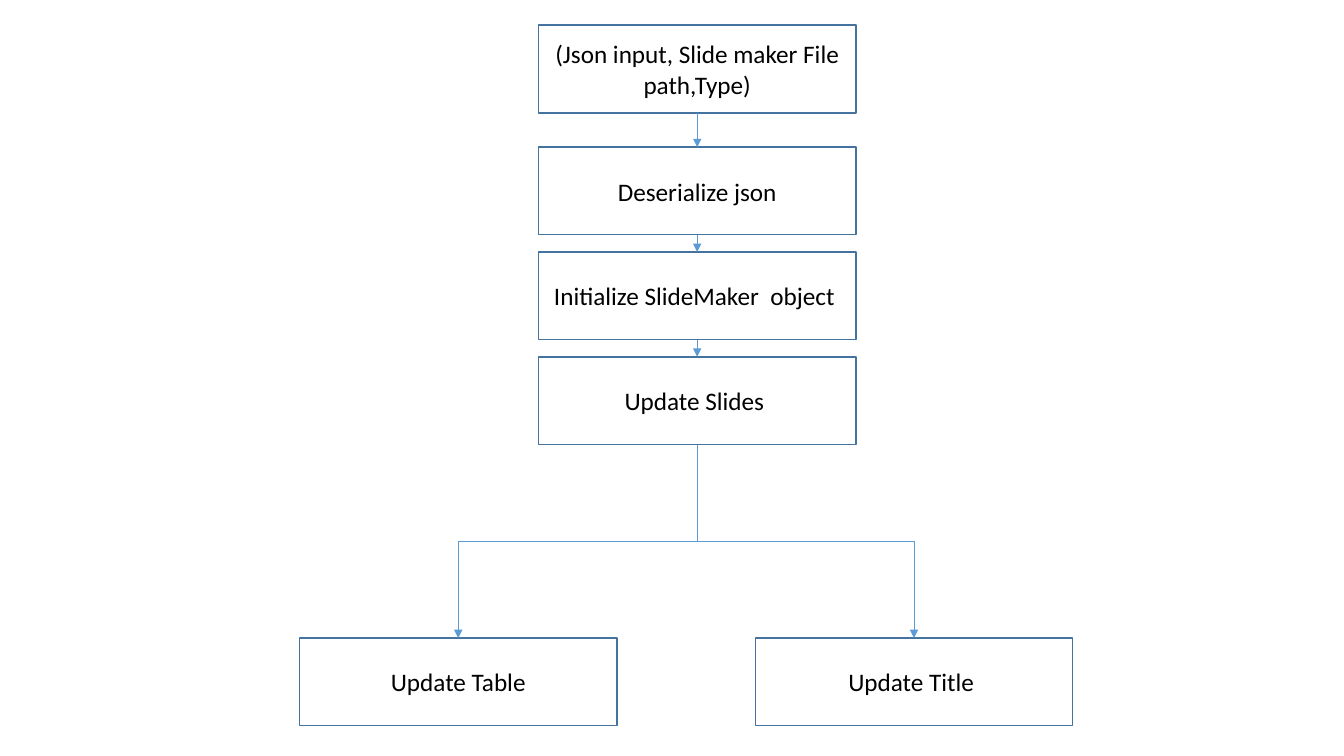
from dataclasses import dataclass
from typing import Optional

from lxml import etree
from pptx import Presentation
from pptx import util as u
from pptx.dml.color import RGBColor
from pptx.enum import shapes, text
from pptx.oxml.ns import qn
from pptx.shapes.autoshape import Shape
from pptx.slide import Slide


@dataclass(frozen=True)
class Theme:
    font: str = "Calibri"
    size: float = 18
    ink: str = "000000"
    fill: str = "FFFFFF"
    edge: str = "43739E"
    link: str = "5B9BD5"
    edge_pt: float = 1
    link_pt: float = 0.5


@dataclass(frozen=True)
class Step:
    label: str
    left: float
    top: float


@dataclass(frozen=True)
class Point:
    x: float
    y: float


THEME = Theme()
WIDTH, HEIGHT = 3.15, 0.87
MAIN = 5.34
FORK = 5.37
TOP, BOTTOM = 0, 2

CHAIN = [
    Step("(Json input, Slide maker File path,Type)", MAIN, 0.25),
    Step("Deserialize json", MAIN, 1.46),
    Step("Initialize SlideMaker  object ", MAIN, 2.5),
    Step("Update Slides ", MAIN, 3.54),
]
LEAVES = [
    Step("Update Table", 2.97, 6.33),
    Step("Update Title ", 7.49, 6.33),
]


def color(code: str) -> RGBColor:
    return RGBColor.from_string(code)


def draw_box(slide: Slide, step: Step) -> Shape:
    box = slide.shapes.add_shape(
        shapes.MSO_SHAPE.RECTANGLE,
        u.Inches(step.left), u.Inches(step.top),
        u.Inches(WIDTH), u.Inches(HEIGHT),
    )
    box.shadow.inherit = False
    box.fill.solid()
    box.fill.fore_color.rgb = color(THEME.fill)
    box.line.color.rgb = color(THEME.edge)
    box.line.width = u.Pt(THEME.edge_pt)
    frame = box.text_frame
    frame.word_wrap = True
    frame.vertical_anchor = text.MSO_ANCHOR.MIDDLE
    para = frame.paragraphs[0]
    para.alignment = text.PP_ALIGN.CENTER
    run = para.add_run()
    run.text = step.label
    run.font.name = THEME.font
    run.font.size = u.Pt(THEME.size)
    run.font.color.rgb = color(THEME.ink)
    return box


def draw_link(slide: Slide, start: Point, end: Point,
              source: Optional[Shape] = None,
              target: Optional[Shape] = None,
              arrow: bool = True) -> None:
    link = slide.shapes.add_connector(
        shapes.MSO_CONNECTOR.STRAIGHT,
        u.Inches(start.x), u.Inches(start.y),
        u.Inches(end.x), u.Inches(end.y),
    )
    if source is not None:
        link.begin_connect(source, BOTTOM)
    if target is not None:
        link.end_connect(target, TOP)
    link.line.color.rgb = color(THEME.link)
    link.line.width = u.Pt(THEME.link_pt)
    if arrow:
        tail = etree.SubElement(link.line._get_or_add_ln(), qn("a:tailEnd"))
        tail.set("type", "triangle")
    etree.SubElement(link._element.spPr, qn("a:effectLst"))


def head(step: Step) -> Point:
    return Point(step.left + WIDTH / 2, step.top)


def foot(step: Step) -> Point:
    return Point(step.left + WIDTH / 2, step.top + HEIGHT)


def main() -> None:
    deck = Presentation()
    deck.slide_width = u.Inches(13.33)
    deck.slide_height = u.Inches(7.5)
    slide = deck.slides.add_slide(deck.slide_layouts[6])

    chain = [draw_box(slide, step) for step in CHAIN]
    leaves = [draw_box(slide, step) for step in LEAVES]

    for i in range(len(CHAIN) - 1):
        draw_link(slide, foot(CHAIN[i]), head(CHAIN[i + 1]),
                  chain[i], chain[i + 1])

    start = foot(CHAIN[-1])
    fork = Point(start.x, FORK)
    draw_link(slide, start, fork, source=chain[-1], arrow=False)
    for step, box in zip(LEAVES, leaves):
        end = head(step)
        bend = Point(end.x, FORK)
        draw_link(slide, fork, bend, arrow=False)
        draw_link(slide, bend, end, target=box)

    deck.save("out.pptx")


if __name__ == "__main__":
    main()
